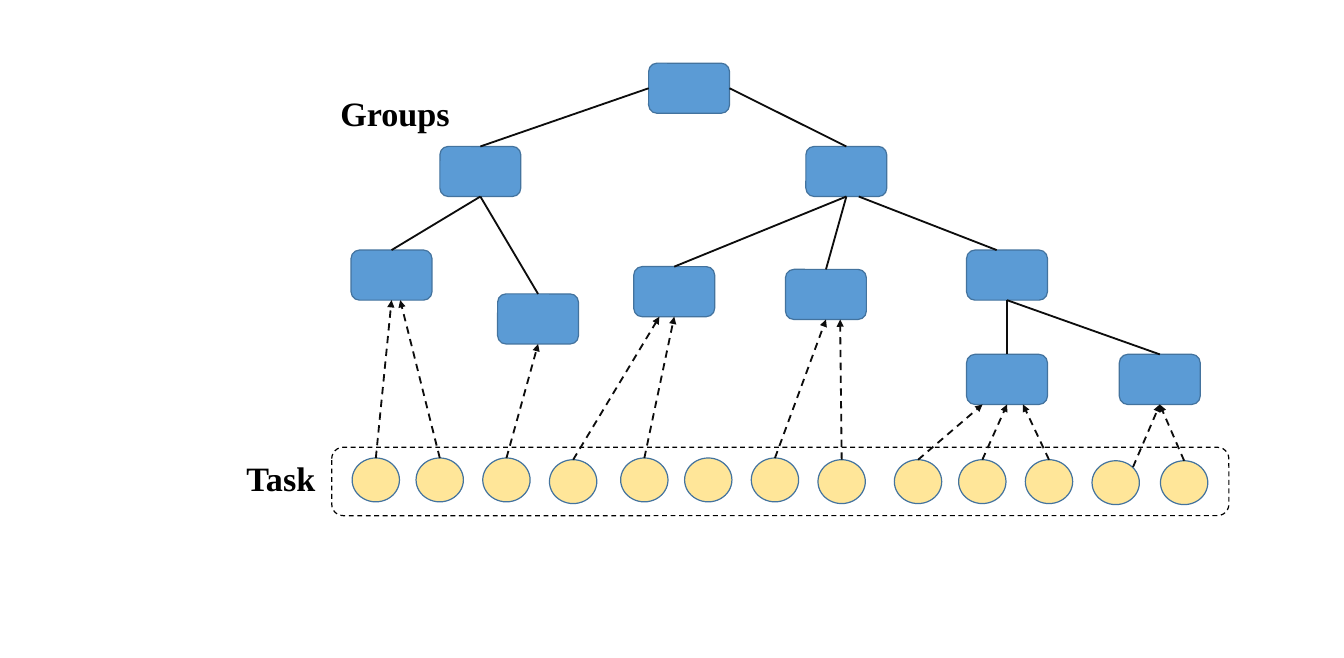
from lxml import etree
from pptx import Presentation
from pptx.dml.color import RGBColor
from pptx.enum.dml import MSO_LINE
from pptx.enum.shapes import MSO_CONNECTOR, MSO_SHAPE
from pptx.oxml.ns import qn
from pptx.util import Cm, Pt

ROUNDED, OVAL = MSO_SHAPE.ROUNDED_RECTANGLE, MSO_SHAPE.OVAL
STRAIGHT, DASH = MSO_CONNECTOR.STRAIGHT, MSO_LINE.DASH
TOP, LEFT, BOTTOM, RIGHT = range(4)  # connection sites
GROUP_WIDTH, GROUP_HEIGHT = 2.34, 1.45
TASK_WIDTH, TASK_HEIGHT = 1.37, 1.27


def color(hex_string):
    return RGBColor.from_string(hex_string)


def add_text(text, left, top, width=4.09, height=1.45, size=28, bold=True,
             font="Times New Roman", ink="000000"):
    box = page.shapes.add_textbox(Cm(left), Cm(top), Cm(width), Cm(height))
    box.text_frame.word_wrap = True
    span = box.text_frame.paragraphs[0].add_run()
    span.text = text
    span.font.name, span.font.size, span.font.bold = font, Pt(size), bold
    span.font.color.rgb = color(ink)


deck = Presentation()
deck.slide_width, deck.slide_height = Cm(38.89), Cm(19.05)
page = deck.slides.add_slide(deck.slide_layouts[6])

# Positions of the groups and tasks
group_spots = {
    "root": (18.77, 1.83), "left": (12.73, 4.24), "right": (23.32, 4.24),
    "left 1": (10.16, 7.24), "left 2": (14.4, 8.51),
    "right 1": (18.34, 7.72), "right 2": (22.73, 7.8), "right 3": (27.97, 7.24),
    "leaf 1": (27.97, 10.26), "leaf 2": (32.39, 10.26),
}
task_lefts = [10.19, 12.04, 13.97, 15.9, 17.96, 19.81, 21.74, 23.67,
              25.88, 27.74, 29.67, 31.6, 33.58]
task_tops = [13.26] * 3 + [13.31] + [13.26] * 3 + [13.31] * 4 + [13.34] * 2

# Groups, tasks and the frame around the tasks
specs = [(name, ROUNDED, *spot, GROUP_WIDTH, GROUP_HEIGHT, "5B9BD5")
         for name, spot in group_spots.items()]
specs += [(number, OVAL, left, top, TASK_WIDTH, TASK_HEIGHT, "FFE699")
          for number, (left, top) in enumerate(zip(task_lefts, task_tops))]
specs.append(("frame", ROUNDED, 9.6, 12.95, 25.96, 1.98, None))
nodes = {}
for name, kind, left, top, width, height, fill in specs:
    node = page.shapes.add_shape(kind, Cm(left), Cm(top), Cm(width), Cm(height))
    node.shadow.inherit = False
    node.line.width = Pt(1)
    if fill:
        node.fill.solid()
        node.fill.fore_color.rgb = color(fill)
        node.line.color.rgb = color("43739E")
    else:
        node.fill.background()
        node.line.color.rgb = color("000000")
        node.line.dash_style = DASH
    nodes[name] = node

# Links: start node, site, start shift (x, y), end node, site, end shift, dashed
links = [(parent, site, (0, 0), child, TOP, 0, False) for parent, site, child in [
    ("root", LEFT, "left"), ("root", RIGHT, "right"),
    ("left", BOTTOM, "left 1"), ("left", BOTTOM, "left 2"),
    ("right", BOTTOM, "right 1"), ("right", BOTTOM, "right 2"),
    ("right 3", BOTTOM, "leaf 1"), ("right 3", BOTTOM, "leaf 2")]]
links.append(("right", BOTTOM, (0.36, 0), "right 3", TOP, -0.3, False))
links += [(task, TOP, (0.5, 0.18) if task == 11 else (0, 0), group, BOTTOM, shift, True)
          for task, group, shift in [
    (0, "left 1", 0), (1, "left 1", 0.25), (2, "left 2", 0),
    (3, "right 1", -0.43), (4, "right 1", 0),
    (6, "right 2", 0), (7, "right 2", 0.41),
    (8, "leaf 1", -0.71), (9, "leaf 1", 0), (10, "leaf 1", 0.46),
    (11, "leaf 2", 0), (12, "leaf 2", 0)]]

for start, start_site, (shift_x, shift_y), end, end_site, end_shift, dashed in links:
    source, target = nodes[start], nodes[end]
    begin_x = source.left + source.width // 2 + Cm(shift_x)
    begin_y = source.top + Cm(shift_y) + (source.height if start_site == BOTTOM else 0)
    end_x = target.left + target.width // 2 + Cm(end_shift)
    end_y = target.top + (target.height if end_site == BOTTOM else 0)
    link = page.shapes.add_connector(STRAIGHT, begin_x, begin_y, end_x, end_y)
    # Glue the ends that sit on a connection site
    if not shift_x:
        link.begin_connect(source, start_site)
    if not end_shift:
        link.end_connect(target, end_site)
    link.line.color.rgb = color("0D0D0D")
    link.line.width = Pt(1.5)
    if dashed:
        link.line.dash_style = DASH
        etree.SubElement(link.line._get_or_add_ln(), qn("a:tailEnd"), type="triangle")
    etree.SubElement(link._element.spPr, qn("a:effectLst"))

# Labels
add_text("Task", 6.88, 13.13)
add_text("Groups", 9.6, 2.54)

deck.save("out.pptx")
